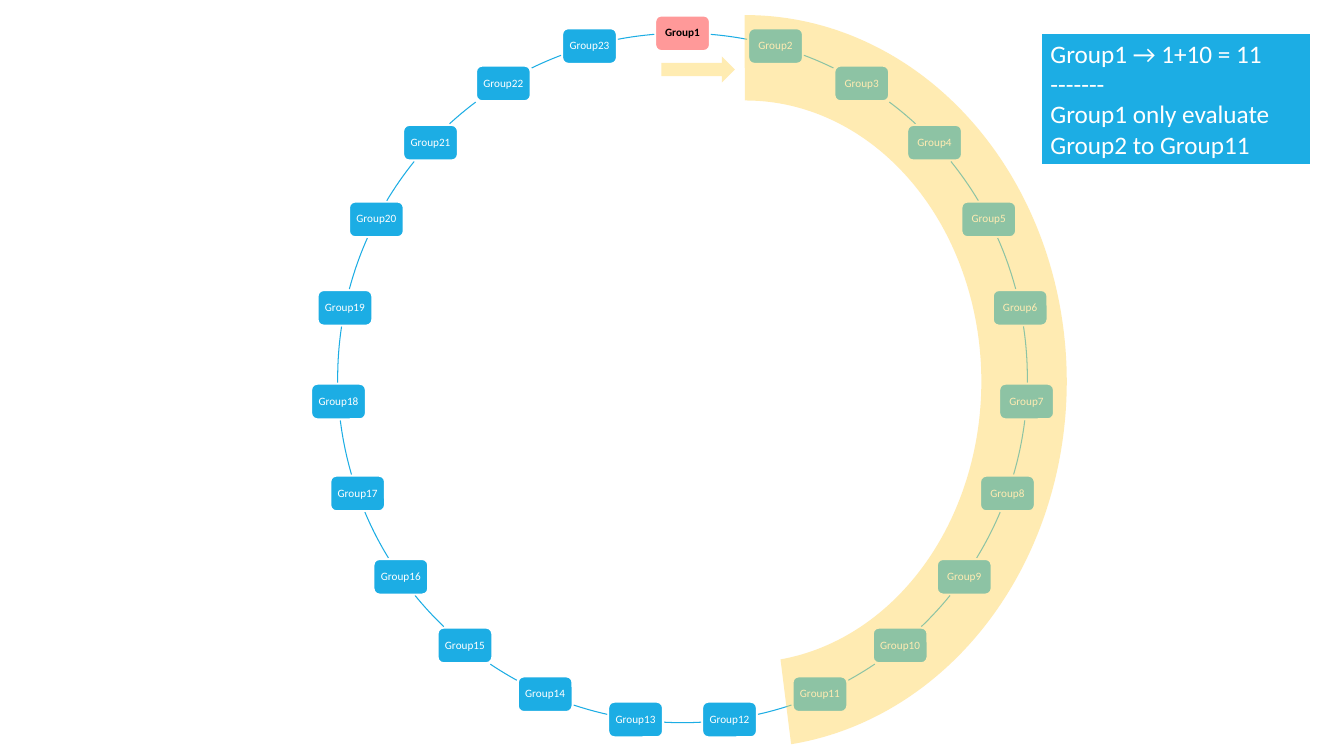
from dataclasses import dataclass
from math import cos, radians, sin

from lxml.etree import SubElement
from pptx import Presentation
from pptx.dml.color import RGBColor
from pptx.enum.shapes import MSO_SHAPE
from pptx.enum.text import MSO_ANCHOR, MSO_AUTO_SIZE, PP_ALIGN
from pptx.oxml.ns import qn
from pptx.util import Inches, Pt


@dataclass(frozen=True)
class Theme:
    font: str = "Calibri"
    small: float = 8
    large: float = 18
    blue: str = "1CADE4"
    pink: str = "FF9999"
    gold: str = "FFD966"
    cream: str = "FFECB2"
    white: str = "FFFFFF"
    black: str = "000000"


def write(shape, text, size, color, font, bold=False, align=PP_ALIGN.LEFT,
          anchor=MSO_ANCHOR.TOP, space=1.0, inset=None):
    """Fill a shape with formatted text, one paragraph per line."""
    frame = shape.text_frame
    frame.word_wrap = True
    frame.vertical_anchor = anchor
    if inset is not None:
        frame.margin_left = frame.margin_right = Inches(inset)
        frame.margin_top = frame.margin_bottom = Inches(inset)
    frame.text = text
    for para in frame.paragraphs:
        para.alignment = align
        para.line_spacing = space
        para.font.name = font
        para.font.size = Pt(size)
        para.font.bold = bold
        para.font.color.rgb = RGBColor.from_string(color)
    return frame


class Page:
    def __init__(self, slide, theme):
        self.slide = slide
        self.theme = theme

    def shape(self, kind, left, top, width, height, fill=None, line=None,
              weight=1, alpha=None, home=None):
        """Add a preset shape to the slide, or to the group given as home."""
        item = (home or self.slide).shapes.add_shape(
            kind, Inches(left), Inches(top), Inches(width), Inches(height))
        item.shadow.inherit = False
        if fill:
            item.fill.solid()
            item.fill.fore_color.rgb = RGBColor.from_string(fill)
        else:
            item.fill.background()
        if line:
            item.line.color.rgb = RGBColor.from_string(line)
            item.line.width = Pt(weight)
        else:
            item.line.fill.background()
        if alpha is not None:
            tint = item.fill._xPr.find(".//" + qn("a:srgbClr"))
            SubElement(tint, qn("a:alpha"), val=str(alpha * 1000))
        return item

    def ring(self, count, mid_x, mid_y, radius, width, height):
        """Place the groups clockwise on a circle, with arcs in the gaps."""
        look = self.theme
        group = self.slide.shapes.add_group_shape()
        step = 360 / count
        pad = 0.01

        def spot(angle):
            turn = radians(angle)
            return mid_x + radius * cos(turn), mid_y + radius * sin(turn)

        def edge(angle, way):
            """Angle at which the circle leaves the box centred at angle."""
            x, y = spot(angle)
            out_x, out_y = x, y
            while (abs(out_x - x) <= width / 2 + pad
                   and abs(out_y - y) <= height / 2 + pad):
                angle += way * 0.05
                out_x, out_y = spot(angle)
            return angle

        for i in range(count):
            first = i == 0
            angle = i * step - 90
            x, y = spot(angle)
            box = self.shape(
                MSO_SHAPE.ROUNDED_RECTANGLE, x - width / 2, y - height / 2,
                width, height, fill=look.pink if first else look.blue,
                line=look.white, weight=1.25, home=group)
            write(box, f"Group{i + 1}", look.small,
                  look.black if first else look.white, look.font, bold=first,
                  align=PP_ALIGN.CENTER, anchor=MSO_ANCHOR.MIDDLE,
                  space=0.9, inset=0.03)

            arc = self.shape(
                MSO_SHAPE.ARC, mid_x - radius, mid_y - radius,
                2 * radius, 2 * radius, line=look.blue, weight=0.75,
                home=group)
            ends = edge(angle, 1), edge(angle + step, -1)
            for j, end in enumerate(ends):
                arc.adjustments[j] = end % 360 * 0.6  # 60000 units a degree

    def band(self, left, top, width, height, start, end, thick):
        """Add the see-through block arc over the groups to evaluate."""
        arc = self.shape(MSO_SHAPE.BLOCK_ARC, left, top, width, height,
                         fill=self.theme.gold, alpha=50)
        arc.rotation = 90
        arc.adjustments[0] = start * 0.6
        arc.adjustments[1] = end * 0.6
        arc.adjustments[2] = thick

    def note(self, text, left, top, width, height):
        look = self.theme
        box = self.shape(MSO_SHAPE.RECTANGLE, left, top, width, height,
                         fill=look.blue, line=look.white, weight=1.5)
        frame = write(box, text, look.large, look.white, look.font)
        frame.auto_size = MSO_AUTO_SIZE.SHAPE_TO_FIT_TEXT

    def arrow(self, left, top, width, height):
        self.shape(MSO_SHAPE.RIGHT_ARROW, left, top, width, height,
                   fill=self.theme.cream)


def main():
    deck = Presentation()
    deck.slide_width, deck.slide_height = Inches(13.33), Inches(7.5)
    page = Page(deck.slides.add_slide(deck.slide_layouts[6]), Theme())

    # Circle of groups
    page.ring(23, mid_x=6.77, mid_y=3.75, radius=3.42, width=0.54, height=0.35)

    # Range and direction of evaluation
    page.band(3.76, 0.6, 7.27, 6.37, start=179.84, end=352.85, thick=0.133)

    # Rule for the first group
    page.note("Group1 → 1+10 = 11\n-------\nGroup1 only evaluate Group2 to Group11",
              10.32, 0.33, 2.68, 1.31)
    page.arrow(6.56, 0.56, 0.73, 0.26)

    deck.save("out.pptx")


if __name__ == "__main__":
    main()
